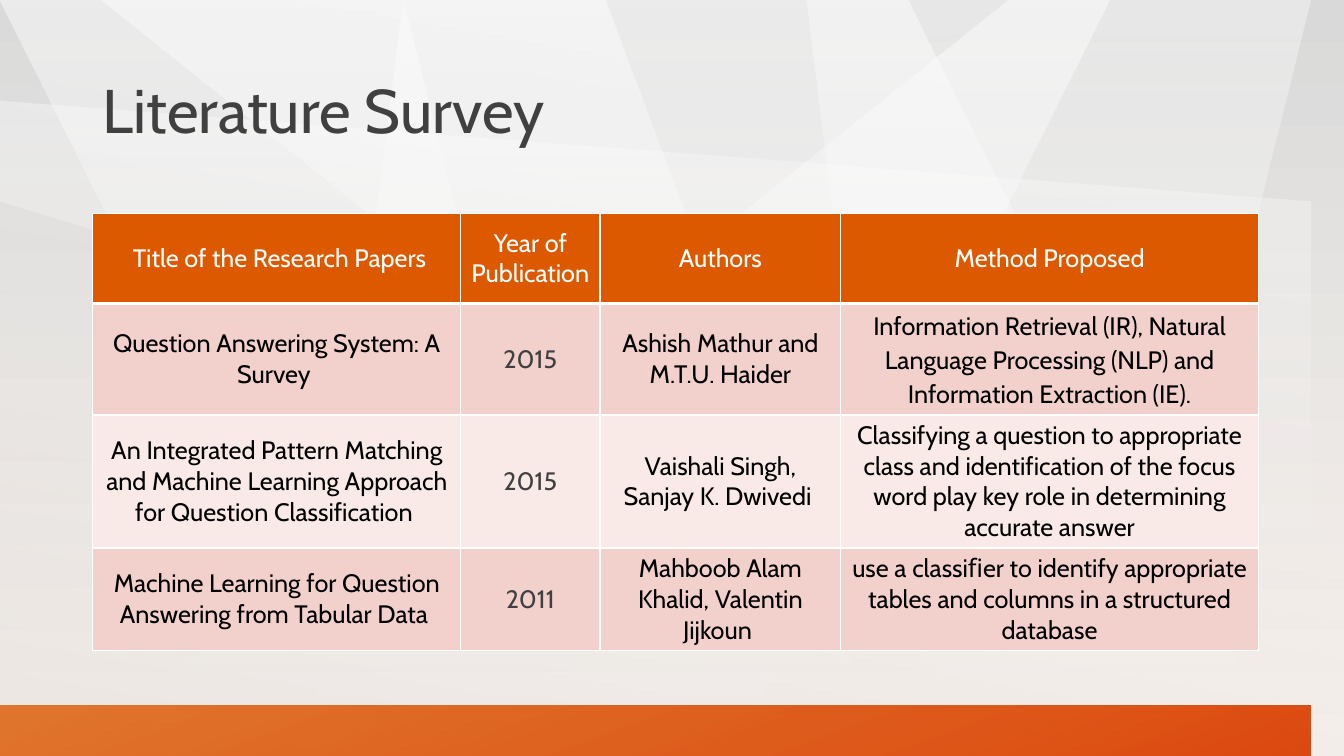
from pptx import Presentation
from pptx.dml.color import RGBColor
from pptx.enum.shapes import MSO_SHAPE
from pptx.enum.text import MSO_ANCHOR, MSO_AUTO_SIZE, PP_ALIGN
from pptx.oxml import parse_xml
from pptx.oxml.ns import nsdecls, qn
from pptx.util import Inches, Pt

RECT = MSO_SHAPE.RECTANGLE
MIDDLE = MSO_ANCHOR.MIDDLE
NO_FIT = MSO_AUTO_SIZE.NONE
LEFT, CENTER = PP_ALIGN.LEFT, PP_ALIGN.CENTER

FONT = "Cabin"
WIDE, HIGH = 13.33, 7.5
EDGE = 0.92
COLORS = {
    "white": "FFFFFF", "black": "000000", "text": "404040",
    "orange": "DD5900", "red": "DC3C00", "odd": "F2D1CC", "even": "F9EAE7",
    "mist": "D9D9D9", "cream": "FCF5EF", "gray": "BFBFBF",
}

BEAMS = [
    (50, [(9.79, 0), (0, HIGH), (7.01, HIGH), (11.25, 0)]),
    (50, [(0, 0), (3.58, 0), (5.94, HIGH), (3.91, HIGH)]),
    (50, [(1.32, 0), (9.07, 0), (WIDE, HIGH), (10.83, HIGH)]),
    (40, [(7.65, 0), (8.56, HIGH), (11.15, HIGH), (12.57, 0)]),
    (50, [(5.89, 0), (4.46, 0), (2.72, HIGH), (9.39, HIGH)]),
    (40, [(0, 0.87), (WIDE, 1.86), (WIDE, 6.1), (0, 2.32)]),
]
RIBBON = [(0, 7.27), (WIDE, 6.82), (WIDE, HIGH), (0, HIGH)]

COLS = [3.65, 1.38, 2.39, 4.14]
ROWS = [0.89, 0.95, 0.95, 0.94]
PAPERS = [
    [" Title of the Research Papers", "Year of Publication", "Authors",
     "Method Proposed"],
    ["Question Answering System: A Survey ", "2015",
     "Ashish Mathur and M.T.U. Haider",
     "Information Retrieval (IR), Natural Language Processing (NLP) and "
     "Information Extraction (IE)."],
    ["An Integrated Pattern Matching and Machine Learning Approach for "
     "Question Classification ", "2015",
     "Vaishali Singh, Sanjay K. Dwivedi ",
     "Classifying a question to appropriate class and identification of the "
     "focus word play key role in determining accurate answer"],
    ["Machine Learning for Question Answering from Tabular Data ", "2011",
     "Mahboob Alam Khalid, Valentin Jijkoun ",
     "use a classiﬁer to identify appropriate tables and columns in a "
     "structured database"],
]


def tint(name):
    return RGBColor.from_string(COLORS[name])


def blend(fill, root, ends, angle=90):
    fill.gradient()
    fill.gradient_angle = 360 - angle
    marks = root.iter(qn("a:gs"))
    for place, (stop, mark, end) in enumerate(zip(fill.gradient_stops, marks, ends)):
        name, alpha = end
        stop.position = place
        stop.color.rgb = tint(name)
        mark[0].append(parse_xml(f'<a:alpha {nsdecls("a")} val="{alpha * 1000}"/>'))


def finish(shape, ends, angle=90):
    shape.shadow.inherit = False
    shape.line.fill.background()
    blend(shape.fill, shape.element, ends, angle)


def outline(slide, points, ends, angle=90):
    pen = slide.shapes.build_freeform(*points[0], scale=Inches(1))
    pen.add_line_segments(points[1:], close=True)
    finish(pen.convert_to_shape(), ends, angle)


def write(frame, text, size=18, color="black", align=LEFT, lines=1.0):
    frame.word_wrap = True
    part = frame.paragraphs[0]
    part.alignment, part.line_spacing = align, lines
    run = part.add_run()
    run.text = text
    font = run.font
    font.name, font.size, font.bold = FONT, Pt(size), False
    font.color.rgb = tint(color)


def rule(cell, top=1, base=1):
    props = cell._tc.get_or_add_tcPr()
    sides = [("L", 1), ("R", 1), ("T", top), ("B", base)]
    for place, (side, width) in enumerate(sides):
        props.insert(place, parse_xml(
            f'<a:ln{side} {nsdecls("a")} w="{Pt(width)}"><a:solidFill>'
            f'<a:srgbClr val="{COLORS["white"]}"/></a:solidFill></a:ln{side}>'))


def backdrop(slide):
    blend(slide.background.fill, slide.element, [("mist", 50), ("cream", 100)])
    for alpha, points in BEAMS:
        outline(slide, points, [("white", alpha), ("white", 0)])
    veil = slide.shapes.add_shape(RECT, 0, 0, Inches(WIDE), Inches(HIGH))
    finish(veil, [("gray", 25), ("white", 0)], 280)
    outline(slide, RIBBON, [("orange", 80), ("red", 95)], 70)


def heading(slide, text):
    title = slide.shapes.title
    slide.shapes.element.append(title.element)
    title.left, title.top = Inches(EDGE), Inches(0.4)
    title.width, title.height = Inches(11.5), Inches(1.45)
    frame = title.text_frame
    frame.vertical_anchor = MIDDLE
    frame.auto_size = NO_FIT
    write(frame, text, size=44, color="text", lines=0.9)


def survey(slide):
    table = slide.shapes.add_table(
        len(ROWS), len(COLS), Inches(EDGE), Inches(2.12),
        Inches(sum(COLS)), Inches(sum(ROWS))).table
    for col, width in zip(table.columns, COLS):
        col.width = Inches(width)
    for r, (height, paper) in enumerate(zip(ROWS, PAPERS)):
        table.rows[r].height = Inches(height)
        shade = "orange" if r == 0 else "odd" if r % 2 else "even"
        for c, text in enumerate(paper):
            cell = table.cell(r, c)
            cell.vertical_anchor = MIDDLE
            cell.fill.solid()
            cell.fill.fore_color.rgb = tint(shade)
            rule(cell, top=3 if r == 1 else 1, base=3 if r == 0 else 1)
            color = "white" if r == 0 else "text" if c == 1 else "black"
            lines = 1.1 if (r, c) == (1, 3) else 1.0
            write(cell.text_frame, text, color=color, align=CENTER, lines=lines)


def main():
    deck = Presentation()
    deck.slide_width, deck.slide_height = Inches(WIDE), Inches(HIGH)
    slide = deck.slides.add_slide(deck.slide_layouts[5])
    backdrop(slide)
    heading(slide, "Literature Survey")
    survey(slide)
    deck.save("out.pptx")


if __name__ == "__main__":
    main()
